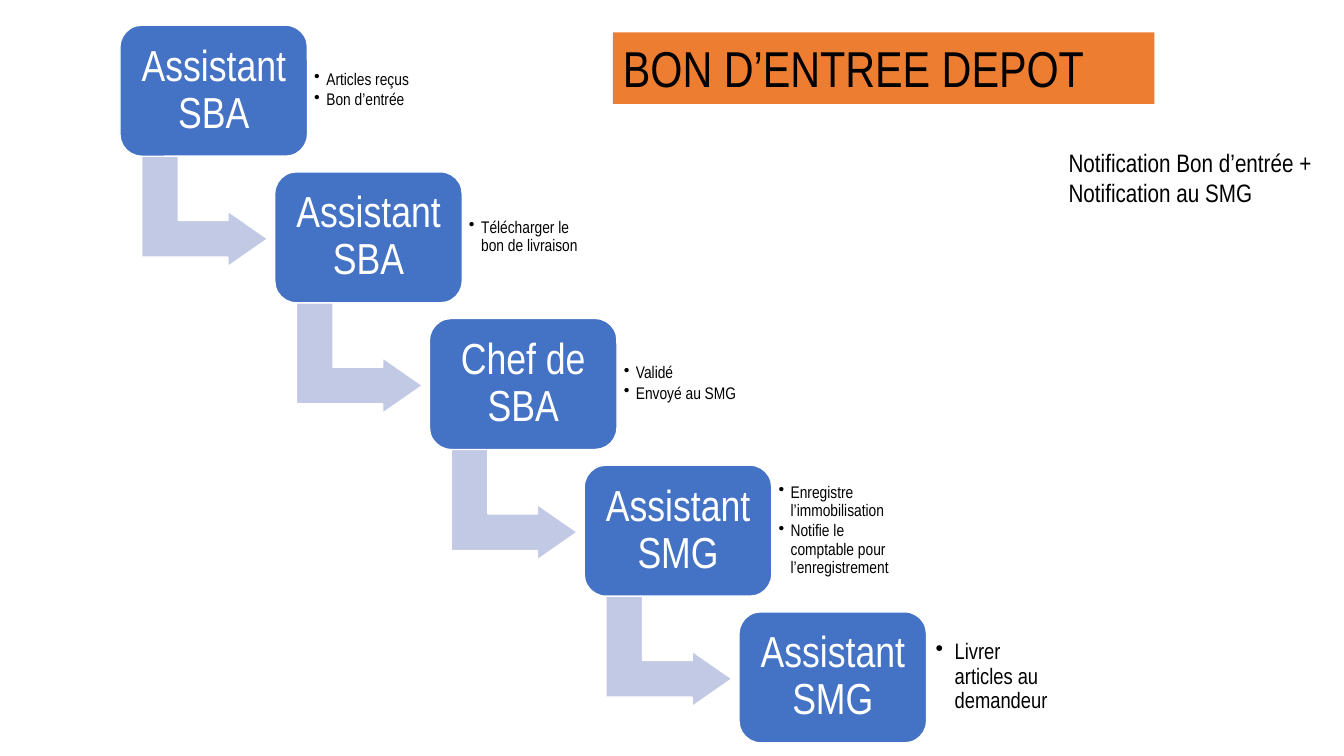
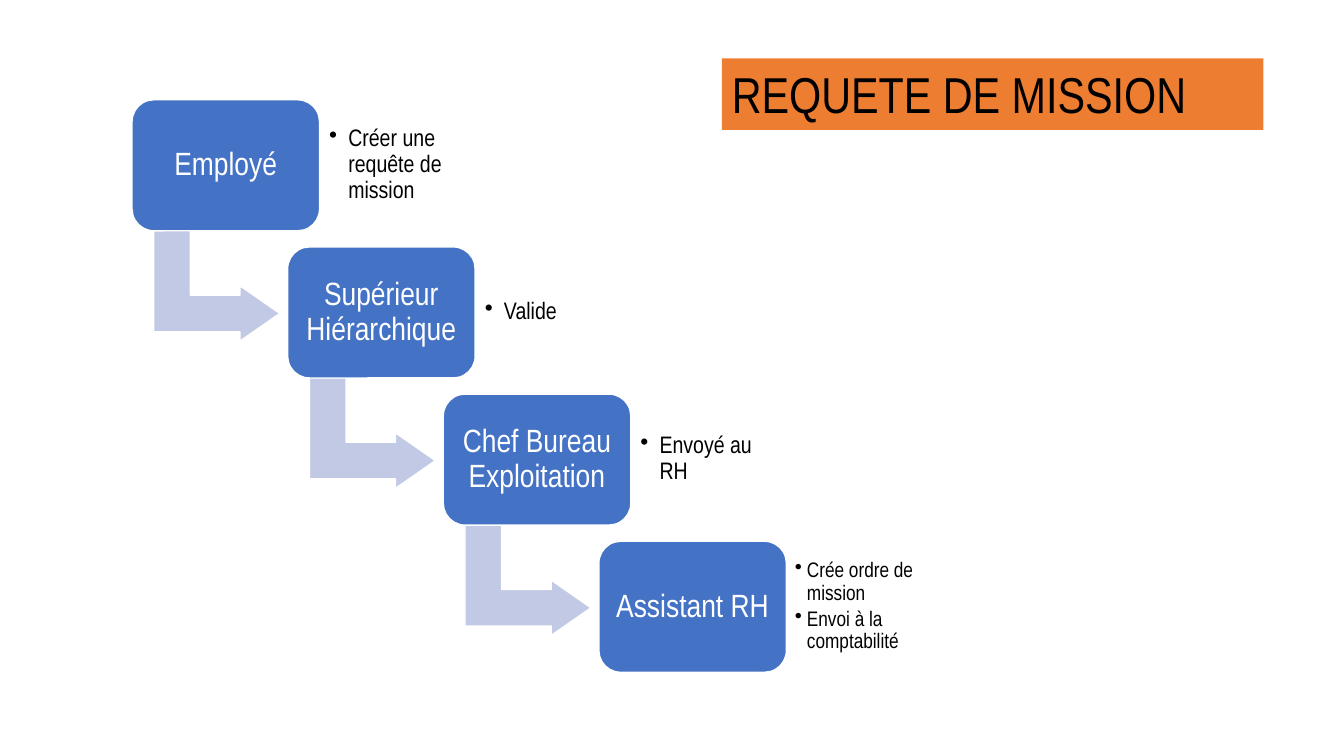
"""Build two staircase process slides: depot entry note and mission request."""
from lxml import etree
from pptx import Presentation
from pptx import util as u
from pptx.dml.color import RGBColor
from pptx.enum import shapes, text
from pptx.oxml.ns import qn

FONT = "Arial Narrow"
BLUE, PALE, ORANGE, WHITE, BLACK = "4472C4", "C1C9E4", "ED7D31", "FFFFFF", "000000"
BOX_W, BOX_H = 1.86, 1.3
ARROW_ADJ = (0.33, 0.25, 0.36)

SLIDES = [
    {
        "title": "BON D’ENTREE DEPOT", "title_at": (6.08, 0.32),
        "first": (1.19, 0.25), "last": (7.33, 6.07), "size": 31,
        "notice": "Notification Bon d’entrée + Notification au SMG",
        "steps": [
            ("Assistant SBA", 12, 0.12, ["Articles reçus", "Bon d’entrée"]),
            ("Assistant SBA", 12, 0.12, ["Télécharger le bon de livraison"]),
            ("Chef de SBA", 12, 0.12, ["Validé", "Envoyé au SMG"]),
            ("Assistant SMG", 12, 0.12, ["Enregistre l’immobilisation",
                                         "Notifie le comptable pour l’enregistrement"]),
            ("Assistant SMG", 16, 0.19, ["Livrer articles au demandeur"]),
        ],
    },
    {
        "title": "REQUETE DE MISSION", "title_at": (7.16, 0.58),
        "first": (1.31, 0.99), "last": (5.94, 5.37), "size": 23,
        "notice": None,
        "steps": [
            ("Employé", 17, 0.19, ["Créer une requête de mission"]),
            ("Supérieur Hiérarchique", 17, 0.19, ["Valide"]),
            ("Chef Bureau Exploitation", 17, 0.19, ["Envoyé au RH"]),
            ("Assistant RH", 15, 0.12, ["Crée ordre de mission", "Envoi à la comptabilité"]),
        ],
    },
]


def add_block(s, kind, x, y, w, h, fill=None, line=None):
    """Add a preset shape, or a text box when kind is None."""
    at = [u.Inches(v) for v in (x, y, w, h)]
    if kind is None:
        return s.shapes.add_textbox(*at)
    sp = s.shapes.add_shape(kind, *at)
    sp.shadow.inherit = False
    sp.fill.solid()
    sp.fill.fore_color.rgb = RGBColor.from_string(fill)
    if line:
        sp.line.color.rgb = RGBColor.from_string(line)
        sp.line.width = u.Pt(1)
    else:
        sp.line.fill.background()
    return sp


def set_text(sp, lines, size, color=BLACK, align="LEFT", inset=None, indent=None):
    """Fill a shape with paragraphs; inset centres vertically, indent adds bullets."""
    tf = sp.text_frame
    tf.word_wrap = True
    tf.vertical_anchor = text.MSO_ANCHOR.TOP
    tf.text = "\n".join(lines)
    if inset is not None:
        tf.vertical_anchor = text.MSO_ANCHOR.MIDDLE
        tf.margin_left = tf.margin_right = u.Inches(inset)
        tf.margin_top = tf.margin_bottom = u.Inches(inset)
    for p in tf.paragraphs:
        p.alignment = getattr(text.PP_ALIGN, align)
        if inset is not None:
            p.line_spacing = 0.9
        if indent is not None:
            p.level = 1
            p.space_after = u.Pt(0.15 * size)
            pPr = p._p.get_or_add_pPr()
            pPr.set("marL", str(u.Inches(indent)))
            pPr.set("indent", str(-u.Inches(indent)))
            etree.SubElement(pPr, qn("a:buChar")).set("char", "•")
        for r in p.runs:
            r.font.name = FONT
            r.font.size = u.Pt(size)
            r.font.color.rgb = RGBColor.from_string(color)


prs = Presentation()
prs.slide_width, prs.slide_height = u.Inches(13.33), u.Inches(7.5)

for page in SLIDES:
    s = prs.slides.add_slide(prs.slide_layouts[6])
    steps = page["steps"]
    (x0, y0), (x1, y1) = page["first"], page["last"]
    gaps = len(steps) - 1
    for i, (role, note_size, indent, notes) in enumerate(steps):
        x = x0 + (x1 - x0) * i / gaps
        y = y0 + (y1 - y0) * i / gaps
        if i < gaps:
            arrow = add_block(s, shapes.MSO_SHAPE.BENT_UP_ARROW,
                              x + 0.29, y + 1.22, 1.1, 1.25, PALE, WHITE)
            arrow.rotation = 90
            for k, adj in enumerate(ARROW_ADJ):
                arrow.adjustments[k] = adj
        box = add_block(s, shapes.MSO_SHAPE.ROUNDED_RECTANGLE, x, y, BOX_W, BOX_H, BLUE, WHITE)
        set_text(box, [role], page["size"], WHITE, "CENTER", inset=0.3 * page["size"] / 72)
        note = add_block(s, None, x + BOX_W, y + 0.12, 1.35, 1.05)
        set_text(note, notes, note_size, inset=0.4 * note_size / 72, indent=indent)
    if page["notice"]:
        set_text(add_block(s, None, 10.5, 1.41, 2.75, 0.71), [page["notice"]], 18)
    title = add_block(s, shapes.MSO_SHAPE.RECTANGLE, *page["title_at"], 5.37, 0.71, ORANGE)
    set_text(title, [page["title"]], 36)

prs.save("out.pptx")
